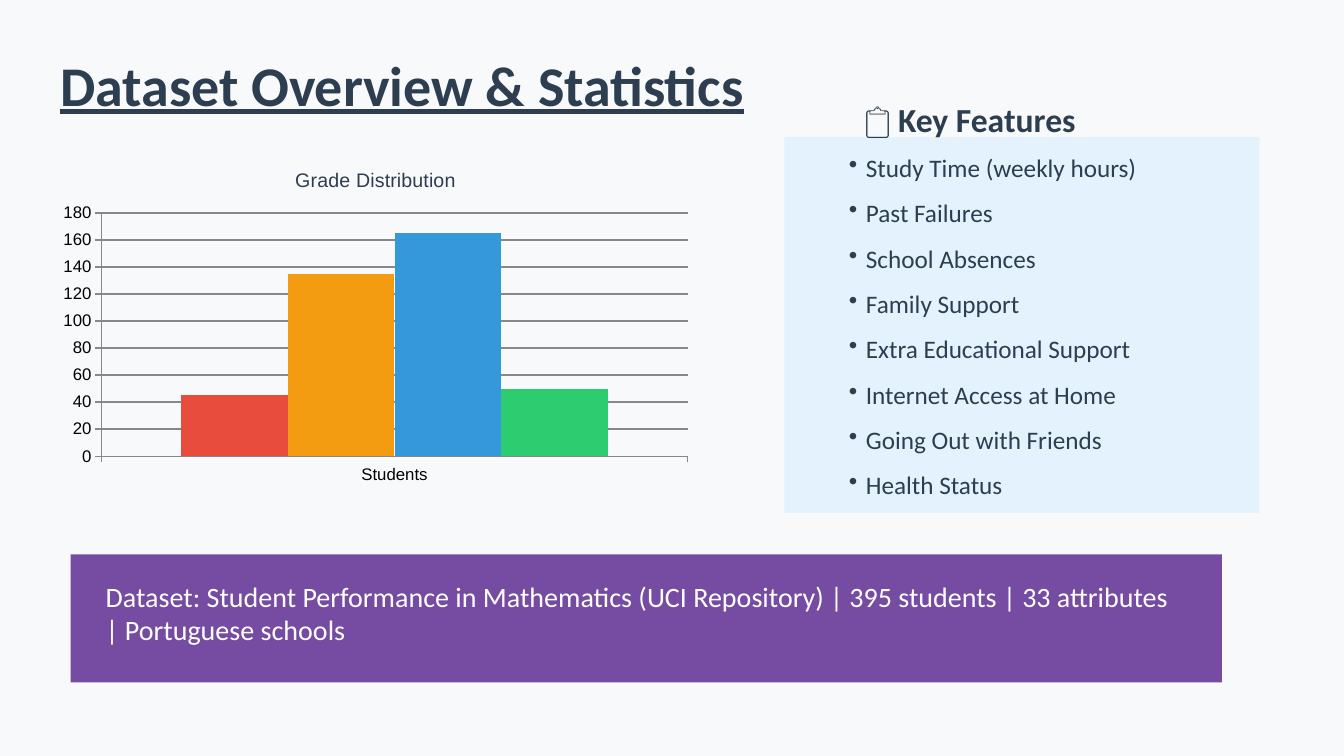
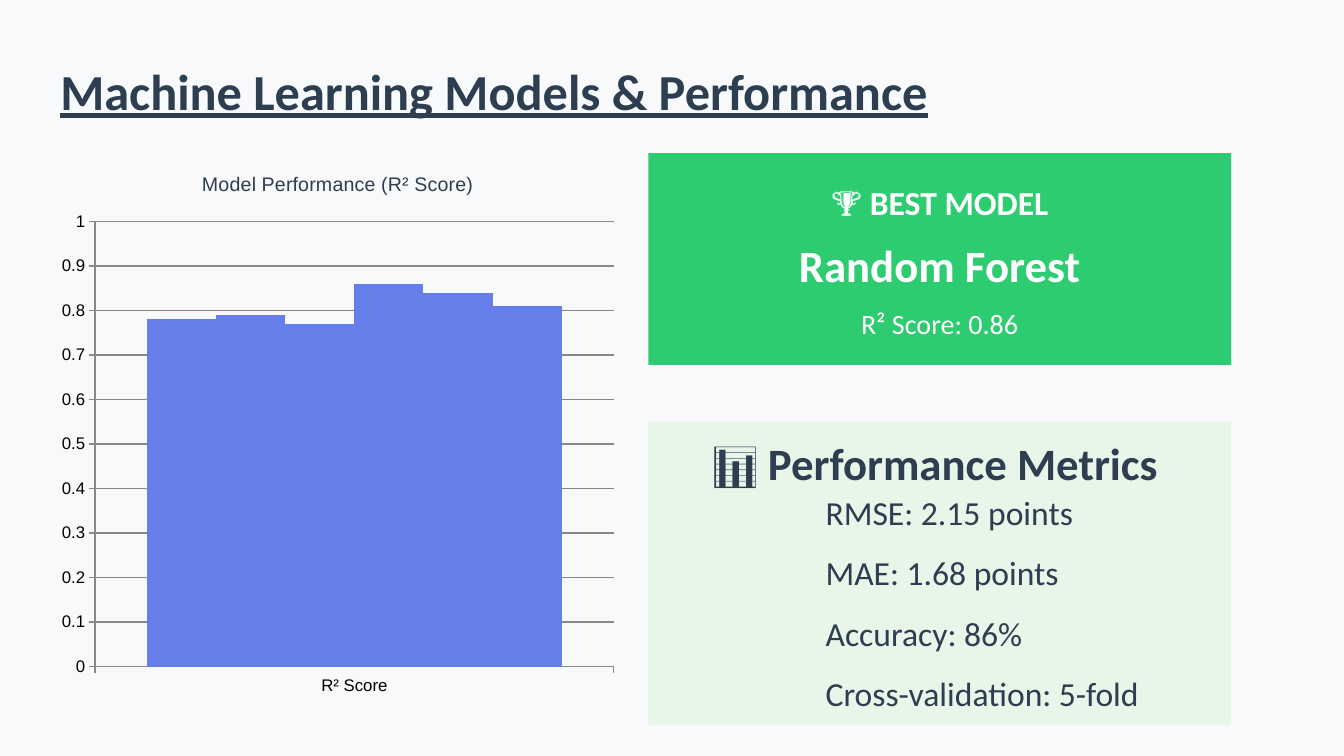
from dataclasses import dataclass
from typing import NamedTuple

from lxml.etree import SubElement
from pptx import Presentation
from pptx.chart.data import CategoryChartData
from pptx.dml.color import RGBColor as RGB
from pptx.enum.chart import XL_CHART_TYPE as ChartType
from pptx.enum.chart import XL_TICK_LABEL_POSITION as LabelPosition
from pptx.enum.chart import XL_TICK_MARK as TickMark
from pptx.enum.shapes import MSO_SHAPE as Shape
from pptx.enum.text import MSO_ANCHOR as Anchor
from pptx.enum.text import PP_ALIGN as Align
from pptx.oxml.ns import qn
from pptx.util import Inches, Pt


@dataclass(frozen=True)
class Theme:
    font: str = "Calibri"
    chart_font: str = "Arial"
    page: str = "F8F9FA"
    ink: str = "2C3E50"
    white: str = "FFFFFF"
    black: str = "000000"
    grid: str = "888888"
    red: str = "E74C3C"
    orange: str = "F39C12"
    blue: str = "3498DB"
    green: str = "2ECC71"
    indigo: str = "667EEA"
    purple: str = "764BA2"
    pale_blue: str = "E3F2FD"
    pale_green: str = "E8F5E9"
    title: int = 40
    long_title: int = 36
    headline: int = 32
    heading: int = 24
    note: int = 20
    item: int = 18
    chart_title: int = 14
    axis: int = 12


THEME = Theme()


class Box(NamedTuple):
    left: float
    top: float
    width: float
    height: float

    def inner(self, dx, dy, width, height):
        return Box(self.left + dx, self.top + dy, width, height)

    def lengths(self):
        return [Inches(length) for length in self]


def set_all(target, **values):
    for name, value in values.items():
        setattr(target, name, value)


def style_font(font, size, color, name=THEME.font, **values):
    set_all(font, size=Pt(size), name=name, **values)
    font.color.rgb = RGB.from_string(color)


def add_bullet(paragraph, indent=0.17):
    properties = paragraph._p.get_or_add_pPr()
    properties.set("marL", str(Inches(indent)))
    properties.set("indent", str(-Inches(indent)))
    SubElement(properties, qn("a:buChar")).set("char", "•")


def add_text(slide, box, lines, size, color=THEME.ink, bullets=False,
             paragraph_format=None, **font_values):
    frame = slide.shapes.add_textbox(*box.lengths()).text_frame
    set_all(frame, word_wrap=True, vertical_anchor=Anchor.MIDDLE)
    frame.text = "\n".join(lines)
    for paragraph in frame.paragraphs:
        set_all(paragraph, **(paragraph_format or {}))
        style_font(paragraph.runs[0].font, size, color, **font_values)
        if bullets:
            add_bullet(paragraph)


def add_panel(slide, box, color):
    panel = slide.shapes.add_shape(Shape.RECTANGLE, *box.lengths())
    panel.shadow.inherit = False
    panel.fill.solid()
    panel.fill.fore_color.rgb = RGB.from_string(color)
    panel.line.fill.background()


def add_title(slide, box, title, size):
    add_text(slide, box, [title], size, bold=True, underline=True)


def style_line(line):
    line.width = Pt(1)
    line.color.rgb = RGB.from_string(THEME.grid)


def add_column_chart(slide, box, title, category, values, colors, maximum=None):
    data = CategoryChartData()
    data.categories = [category]
    for number, value in enumerate(values, 1):
        data.add_series(f"Series {number}", [value])
    chart = slide.shapes.add_chart(
        ChartType.COLUMN_CLUSTERED, *box.lengths(), data).chart
    set_all(chart, has_legend=False, has_title=True)
    heading = chart.chart_title.text_frame
    heading.text = title
    style_font(heading.paragraphs[0].runs[0].font, THEME.chart_title,
               THEME.ink, THEME.chart_font, bold=False)
    for axis in (chart.category_axis, chart.value_axis):
        set_all(axis, major_tick_mark=TickMark.OUTSIDE,
                minor_tick_mark=TickMark.NONE,
                has_major_gridlines=axis is not chart.category_axis)
        style_font(axis.tick_labels.font, THEME.axis, THEME.black, THEME.chart_font)
        style_line(axis.format.line)
    chart.category_axis.has_major_gridlines = False
    chart.category_axis.tick_label_position = LabelPosition.LOW
    chart.value_axis.has_major_gridlines = True
    style_line(chart.value_axis.major_gridlines.format.line)
    set_all(chart.value_axis, minimum_scale=0, maximum_scale=maximum)
    plot = chart.plots[0]
    set_all(plot, gap_width=150, overlap=0, vary_by_categories=False)
    for series, color in zip(plot.series, colors):
        series.invert_if_negative = False
        series.format.fill.solid()
        series.format.fill.fore_color.rgb = RGB.from_string(color)


def add_features(slide, box, heading, features):
    add_panel(slide, box, THEME.pale_blue)
    add_text(slide, box.inner(0.7, -0.38, 3.8, 0.4), [heading],
             THEME.heading, bold=True)
    add_text(slide, box.inner(0.54, 1.04, 4.5, 1.52), features, THEME.item,
             bullets=True, paragraph_format={"line_spacing": 1.5})


def add_band(slide, box, statement):
    add_panel(slide, box, THEME.purple)
    add_text(slide, box.inner(0.25, 0.12, box.width - 0.51, 0.92), [statement],
             THEME.note, THEME.white)


def add_best_model(slide, box, label, model, score):
    add_panel(slide, box, THEME.green)
    for line, dy, height, size, bold in (
            (label, 0.2, 0.56, THEME.heading, True),
            (model, 0.76, 0.7, THEME.headline, True),
            (score, 1.48, 0.42, THEME.note, False)):
        add_text(slide, box.inner(0, dy, box.width, height), [line], size,
                 THEME.white, bold=bold,
                 paragraph_format={"alignment": Align.CENTER})


def add_metrics(slide, box, heading, metrics):
    add_panel(slide, box, THEME.pale_green)
    add_text(slide, box.inner(0.54, 0.17, 5.47, 0.47), [heading],
             THEME.headline, bold=True)
    add_text(slide, box.inner(1.66, 0.92, 4.5, 1.56), metrics, THEME.heading,
             paragraph_format={"line_spacing": 1.5})


def build_dataset_slide(slide):
    add_title(slide, Box(0.5, 0.43, 9, 0.8), "Dataset Overview & Statistics",
              THEME.title)
    add_column_chart(slide, Box(0.5, 1.5, 6.45, 3.37), "Grade Distribution",
                     "Students", [45, 135, 165, 50],
                     [THEME.red, THEME.orange, THEME.blue, THEME.green])
    add_features(slide, Box(7.78, 1.36, 4.71, 3.73), "📋 Key Features", [
        "Study Time (weekly hours)", "Past Failures", "School Absences",
        "Family Support", "Extra Educational Support",
        "Internet Access at Home", "Going Out with Friends", "Health Status"])
    add_band(slide, Box(0.7, 5.5, 11.42, 1.27),
             "Dataset: Student Performance in Mathematics (UCI Repository) | "
             "395 students | 33 attributes | Portuguese schools")


def build_models_slide(slide):
    add_title(slide, Box(0.5, 0.5, 9, 0.8),
              "Machine Learning Models & Performance", THEME.long_title)
    scores = [0.78, 0.79, 0.77, 0.86, 0.84, 0.81]
    add_column_chart(slide, Box(0.5, 1.5, 5.7, 5.5),
                     "Model Performance (R² Score)", "R² Score", scores,
                     [THEME.indigo] * len(scores), maximum=1)
    add_best_model(slide, Box(6.43, 1.52, 5.78, 2.1),
                   "🏆 BEST MODEL", "Random Forest", "R² Score: 0.86")
    add_metrics(slide, Box(6.43, 4.18, 5.78, 3.01), "📊 Performance Metrics", [
        "RMSE: 2.15 points", "MAE: 1.68 points", "Accuracy: 86%",
        "Cross-validation: 5-fold"])


def main():
    deck = Presentation()
    set_all(deck, slide_width=Inches(13.33), slide_height=Inches(7.5))
    backdrop = deck.slide_master.background.fill
    backdrop.solid()
    backdrop.fore_color.rgb = RGB.from_string(THEME.page)
    blank = deck.slide_layouts[6]
    for build in (build_dataset_slide, build_models_slide):
        build(deck.slides.add_slide(blank))
    deck.save("out.pptx")


if __name__ == "__main__":
    main()
